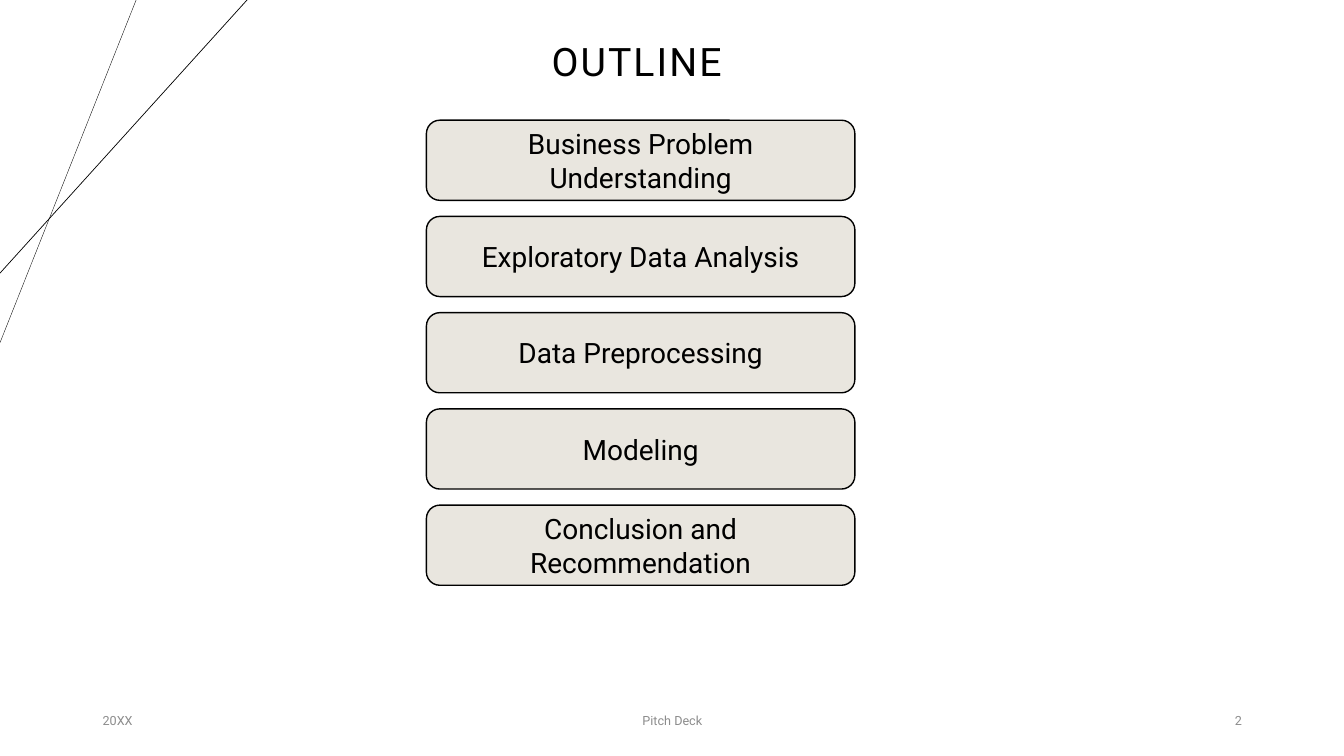
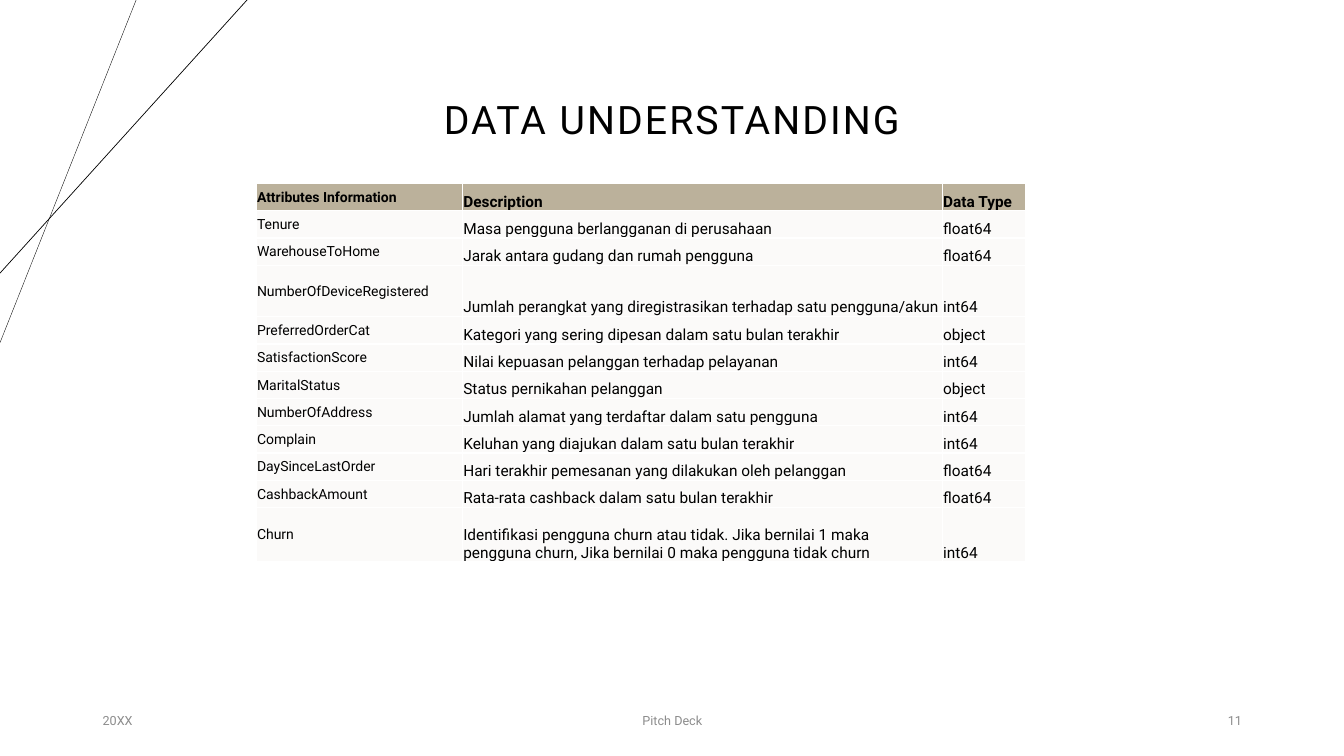
"""Build the outline and data understanding slides of a pitch deck."""
import pptx
import pptx.dml.color
import pptx.enum.shapes
import pptx.enum.text
import pptx.oxml
import pptx.oxml.ns
import pptx.util

WIDTH = pptx.util.Inches(13.33)
HEIGHT = pptx.util.Inches(7.5)
FONT = "Roboto"
COLORS = {
    "ink": "000000",
    "muted": "8C8C8C",
    "box": "E9E6DF",
    "header": "BBB19B",
    "row": "FBFAF9",
    "border": "FFFFFF",
}
ALIGN = pptx.enum.text.PP_ALIGN
ANCHOR = pptx.enum.text.MSO_ANCHOR

TOPICS = [
    "Business Problem Understanding",
    "Exploratory Data Analysis",
    "Data Preprocessing",
    "Modeling",
    "Conclusion and Recommendation",
]
ATTRIBUTES = [
    ("Attributes Information", "Description", "Data Type"),
    ("Tenure", "Masa pengguna berlangganan di perusahaan", "float64"),
    ("WarehouseToHome", "Jarak antara gudang dan rumah pengguna", "float64"),
    ("NumberOfDeviceRegistered",
     "Jumlah perangkat yang diregistrasikan terhadap satu pengguna/akun", "int64"),
    ("PreferredOrderCat", "Kategori yang sering dipesan dalam satu bulan terakhir", "object"),
    ("SatisfactionScore", "Nilai kepuasan pelanggan terhadap pelayanan", "int64"),
    ("MaritalStatus", "Status pernikahan pelanggan", "object"),
    ("NumberOfAddress", "Jumlah alamat yang terdaftar dalam satu pengguna", "int64"),
    ("Complain", "Keluhan yang diajukan dalam satu bulan terakhir", "int64"),
    ("DaySinceLastOrder", "Hari terakhir pemesanan yang dilakukan oleh pelanggan", "float64"),
    ("CashbackAmount", "Rata-rata cashback dalam satu bulan terakhir", "float64"),
    ("Churn",
     "Identifikasi pengguna churn atau tidak. Jika bernilai 1 maka pengguna churn, "
     "Jika bernilai 0 maka pengguna tidak churn", "int64"),
]
COLUMN_SHARES = [15.35, 35.7, 6.2]
ROW_SHARE = 3.61
TALL_ROW_SHARES = {3: 6.8, 11: 7.2}


def across(percent):
    """Return a percentage of the slide's width."""
    return int(WIDTH * percent / 100)


def down(percent):
    """Return a percentage of the slide's height."""
    return int(HEIGHT * percent / 100)


def area(left, top, width, height):
    """Turn percentages of the slide into a position and size."""
    return across(left), down(top), across(width), down(height)


def rgb(name):
    """Look up a named colour."""
    return pptx.dml.color.RGBColor.from_string(COLORS[name])


def write(text_frame, text, size, color="ink", align=ALIGN.LEFT, bold=False):
    """Put one formatted paragraph in a text frame and return it."""
    text_frame.text = text
    text_frame.word_wrap = True
    paragraph = text_frame.paragraphs[0]
    paragraph.alignment = align
    font = paragraph.runs[0].font
    font.name = FONT
    font.size = pptx.util.Pt(size)
    font.bold = bold
    font.color.rgb = rgb(color)
    return paragraph


def add_text(slide, place, text, size, color="ink", align=ALIGN.LEFT):
    """Add a vertically centred text box and return its paragraph."""
    text_frame = slide.shapes.add_textbox(*area(*place)).text_frame
    text_frame.vertical_anchor = ANCHOR.MIDDLE
    return write(text_frame, text, size, color, align)


def add_corner_line(slide, top_end, left_end, weight):
    """Draw a line from the top edge to the left edge of the slide."""
    line = slide.shapes.add_connector(
        pptx.enum.shapes.MSO_CONNECTOR.STRAIGHT, across(top_end), 0, 0, down(left_end))
    line.line.color.rgb = rgb("ink")
    line.line.width = pptx.util.Pt(weight)
    properties = line._element.spPr
    properties.append(properties.makeelement(pptx.oxml.ns.qn("a:effectLst"), {}))


def add_slide(presentation, title, left, top, number):
    """Add a slide with corner lines, title and footer."""
    slide = presentation.slides.add_slide(presentation.slide_layouts[6])
    add_corner_line(slide, 10.13, 45.33, 0.25)
    add_corner_line(slide, 18.38, 36.13, 0.5)
    heading = add_text(slide, (left, top, 69.08, 19.33), title, 28, align=ALIGN.CENTER)
    heading.line_spacing = 0.9
    heading.runs[0].font._element.set("spc", "150")
    footers = [
        (6.9, 22.5, "20XX", ALIGN.LEFT),
        (33.15, 33.75, "Pitch Deck", ALIGN.CENTER),
        (70.65, 22.5, str(number), ALIGN.RIGHT),
    ]
    for footer_left, width, text, align in footers:
        add_text(slide, (footer_left, 92.67, width, 5.33), text, 9, "muted", align)
    return slide


def add_topic(slide, row, text):
    """Add one rounded box in the column of topics."""
    shape = slide.shapes.add_shape(
        pptx.enum.shapes.MSO_SHAPE.ROUNDED_RECTANGLE,
        *area(31.73, 15.9 + 12.73 * row, 31.88, 10.6))
    shape.shadow.inherit = False
    shape.fill.solid()
    shape.fill.fore_color.rgb = rgb("box")
    shape.line.color.rgb = rgb("ink")
    shape.line.width = pptx.util.Pt(1)
    shape.text_frame.vertical_anchor = ANCHOR.MIDDLE
    shape.text_frame.margin_top = shape.text_frame.margin_bottom = 0
    write(shape.text_frame, text, 20, align=ALIGN.CENTER)


def add_borders(cell):
    """Give a cell thin borders on all four sides."""
    properties = cell._tc.get_or_add_tcPr()
    for index, side in enumerate(["lnL", "lnR", "lnT", "lnB"]):
        border = pptx.oxml.parse_xml(
            f'<a:{side} {pptx.oxml.ns.nsdecls("a")} w="12700"><a:solidFill>'
            f'<a:srgbClr val="{COLORS["border"]}"/></a:solidFill></a:{side}>')
        properties.insert(index, border)


def fill_cell(cell, text, is_header, is_name):
    """Write and format one table cell."""
    cell.fill.solid()
    cell.fill.fore_color.rgb = rgb("header" if is_header else "row")
    cell.margin_left = cell.margin_right = cell.margin_top = pptx.util.Inches(0.01)
    cell.margin_bottom = 0
    cell.vertical_anchor = ANCHOR.MIDDLE if is_name else ANCHOR.BOTTOM
    write(cell.text_frame, text, 10 if is_name else 11, bold=is_header)
    add_borders(cell)


def add_attribute_table(slide):
    """Add the table of attributes, descriptions and data types."""
    row_shares = [TALL_ROW_SHARES.get(row, ROW_SHARE) for row in range(len(ATTRIBUTES))]
    table = slide.shapes.add_table(
        len(row_shares), len(COLUMN_SHARES),
        *area(19.05, 24.27, sum(COLUMN_SHARES), sum(row_shares))).table
    table.first_row = table.horz_banding = False
    for column, share in zip(table.columns, COLUMN_SHARES):
        column.width = across(share)
    for row, share in zip(table.rows, row_shares):
        row.height = down(share)
    for row, texts in enumerate(ATTRIBUTES):
        for column, text in enumerate(texts):
            fill_cell(table.cell(row, column), text, row == 0, column == 0)


def main():
    """Build and save the presentation."""
    presentation = pptx.Presentation()
    presentation.slide_width = WIDTH
    presentation.slide_height = HEIGHT
    outline = add_slide(presentation, "OUTLINE", 12.83, -1.2, 2)
    for row, topic in enumerate(TOPICS):
        add_topic(outline, row, topic)
    add_attribute_table(add_slide(presentation, "DATA UNDERSTANDING", 15.45, 6.4, 11))
    presentation.save("out.pptx")


if __name__ == "__main__":
    main()
